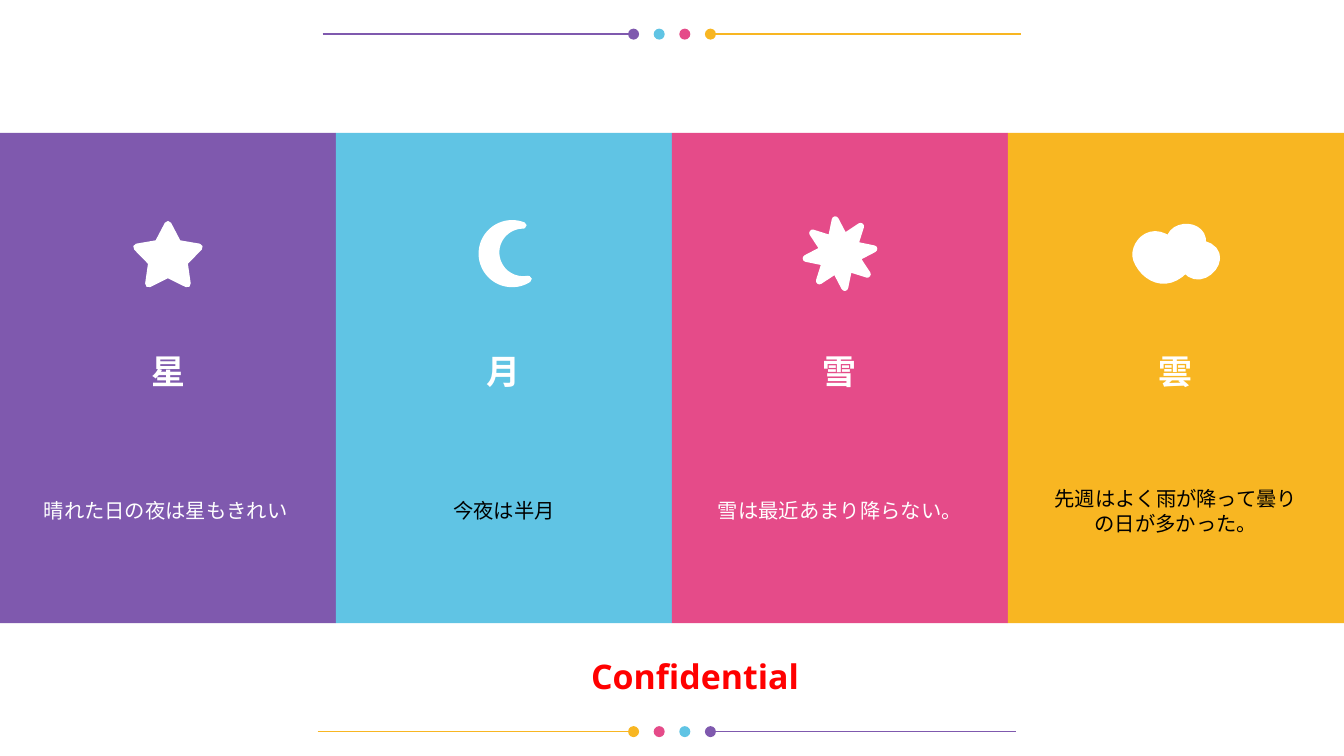
from math import cos, radians, sin

from lxml.etree import SubElement
from pptx import Presentation
from pptx.dml.color import RGBColor
from pptx.enum.shapes import MSO_CONNECTOR as LINE, MSO_SHAPE as SHAPE
from pptx.enum.text import MSO_ANCHOR, PP_ALIGN
from pptx.oxml.ns import qn
from pptx.util import Inches, Pt

PURPLE = RGBColor(0x7F, 0x59, 0xAE)
BLUE = RGBColor(0x60, 0xC4, 0xE4)
PINK = RGBColor(0xE5, 0x4B, 0x89)
YELLOW = RGBColor(0xF8, 0xB6, 0x22)
WHITE = RGBColor(0xFF, 0xFF, 0xFF)
BLACK = RGBColor(0, 0, 0)
RED = RGBColor(0xFF, 0, 0)

WIDTH, HEIGHT = 11.02, 6.2
COLUMN = WIDTH / 4
BAND_TOP, BAND_HEIGHT = 1.09, 4.02

prs = Presentation()
prs.slide_width, prs.slide_height = Inches(WIDTH), Inches(HEIGHT)
slide = prs.slides.add_slide(prs.slide_layouts[6])
shapes = slide.shapes


def on_circle(x, y, radius, angle):
    return x + radius * cos(radians(angle)), y + radius * sin(radians(angle))


def add_icon(points, line_width):
    corners = [(Inches(x), Inches(y)) for x, y in points]
    builder = shapes.build_freeform(*corners[0])
    builder.add_line_segments(corners[1:], close=True)
    icon = builder.convert_to_shape()
    icon.shadow.inherit = False
    icon.fill.solid()
    icon.fill.fore_color.rgb = WHITE
    icon.line.color.rgb = WHITE
    icon.line.width = Pt(line_width)
    SubElement(icon._element.spPr.find(qn("a:ln")), qn("a:round"))


# Coloured columns with their name and caption
columns = [
    (PURPLE, "星", "晴れた日の夜は星もきれい ", WHITE),
    (BLUE, "月", "今夜は半月", BLACK),
    (PINK, "雪", "雪は最近あまり降らない。", WHITE),
    (YELLOW, "雲", "先週はよく雨が降って曇りの日が多かった。", BLACK),
]
labels = [("Confidential", 5.7, 5.54, 1.73, 0.71, 20, RED)]
for i, (color, name, caption, caption_color) in enumerate(columns):
    panel = shapes.add_shape(SHAPE.RECTANGLE, Inches(i * COLUMN), Inches(BAND_TOP),
                             Inches(COLUMN), Inches(BAND_HEIGHT))
    panel.shadow.inherit = False
    panel.fill.solid()
    panel.fill.fore_color.rgb = color
    panel.line.fill.background()
    middle = (i + 0.5) * COLUMN
    labels.append((name, middle, 3.04, 1.73, 0.71, 20, WHITE))
    labels.append((caption, middle, 4.19, 2.14, 1.4, 12, caption_color))

# Rows of dots between two lines, above and below the columns
DOT, DOT_GAP, RULE = 0.09, 0.21, 2.55
for y, colors, shift in [(0.28, [PURPLE, BLUE, PINK, YELLOW], 0),
                         (6, [YELLOW, PINK, BLUE, PURPLE], -0.04)]:
    dots_x = [WIDTH / 2 + (i - 1.5) * DOT_GAP for i in range(4)]
    for start, color in [(dots_x[0] - RULE, colors[0]), (dots_x[3], colors[3])]:
        rule = shapes.add_connector(LINE.STRAIGHT, Inches(start + shift), Inches(y),
                                    Inches(start + shift + RULE), Inches(y))
        rule.line.color.rgb = color
        rule.line.width = Pt(0.82)
        SubElement(rule._element.spPr, qn("a:effectLst"))
    for x, color in zip(dots_x, colors):
        dot = shapes.add_shape(SHAPE.OVAL, Inches(x - DOT / 2), Inches(y - DOT / 2),
                               Inches(DOT), Inches(DOT))
        dot.shadow.inherit = False
        dot.fill.solid()
        dot.fill.fore_color.rgb = color
        dot.line.fill.background()

# Star and snow: spikes alternate between two radii
for spikes, x, y, outer, inner, first_angle in [(5, COLUMN / 2, 2.11, 0.27, 0.14, -90),
                                                (8, COLUMN * 2.5, 2.08, 0.28, 0.14, -98)]:
    add_icon([on_circle(x, y, inner if k % 2 else outer, first_angle + k * 180 / spikes)
              for k in range(2 * spikes)], 4.14)

# Moon: an outer arc and an inner arc back
add_icon([on_circle(4.2, 2.08, 0.25, a) for a in range(57, 293, 5)]
         + [on_circle(4.29, 2.07, 0.22, a) for a in range(270, 79, -5)], 3.66)

# Cloud: four Bézier curves
cloud_start = (9.32, 2.13)
cloud_curves = [
    ((9.28, 2.02), (9.42, 1.84), (9.59, 1.97)),
    ((9.61, 1.82), (9.88, 1.83), (9.86, 2)),
    ((10.13, 2.07), (9.86, 2.39), (9.72, 2.21)),
    ((9.56, 2.38), (9.38, 2.28), (9.32, 2.13)),
]
cloud = []
for c1, c2, end in cloud_curves:
    for t in [k / 12 for k in range(12)]:
        cloud.append(tuple((1 - t) ** 3 * p0 + 3 * (1 - t) ** 2 * t * p1
                           + 3 * (1 - t) * t ** 2 * p2 + t ** 3 * p3
                           for p0, p1, p2, p3 in zip(cloud_start, c1, c2, end)))
    cloud_start = end
add_icon(cloud, 4.14)

# Texts, each centred on its point
for text, x, y, width, height, size, color in labels:
    frame = shapes.add_textbox(Inches(x - width / 2), Inches(y - height / 2),
                               Inches(width), Inches(height)).text_frame
    frame.margin_left = frame.margin_right = frame.margin_top = frame.margin_bottom = 0
    frame.word_wrap = True
    frame.vertical_anchor = MSO_ANCHOR.MIDDLE
    paragraph = frame.paragraphs[0]
    paragraph.text = text
    paragraph.alignment = PP_ALIGN.CENTER
    paragraph.font.name = "Noto Sans"
    paragraph.font.size = Pt(size)
    paragraph.font.bold = size == 20
    paragraph.font.color.rgb = color

prs.save("out.pptx")
